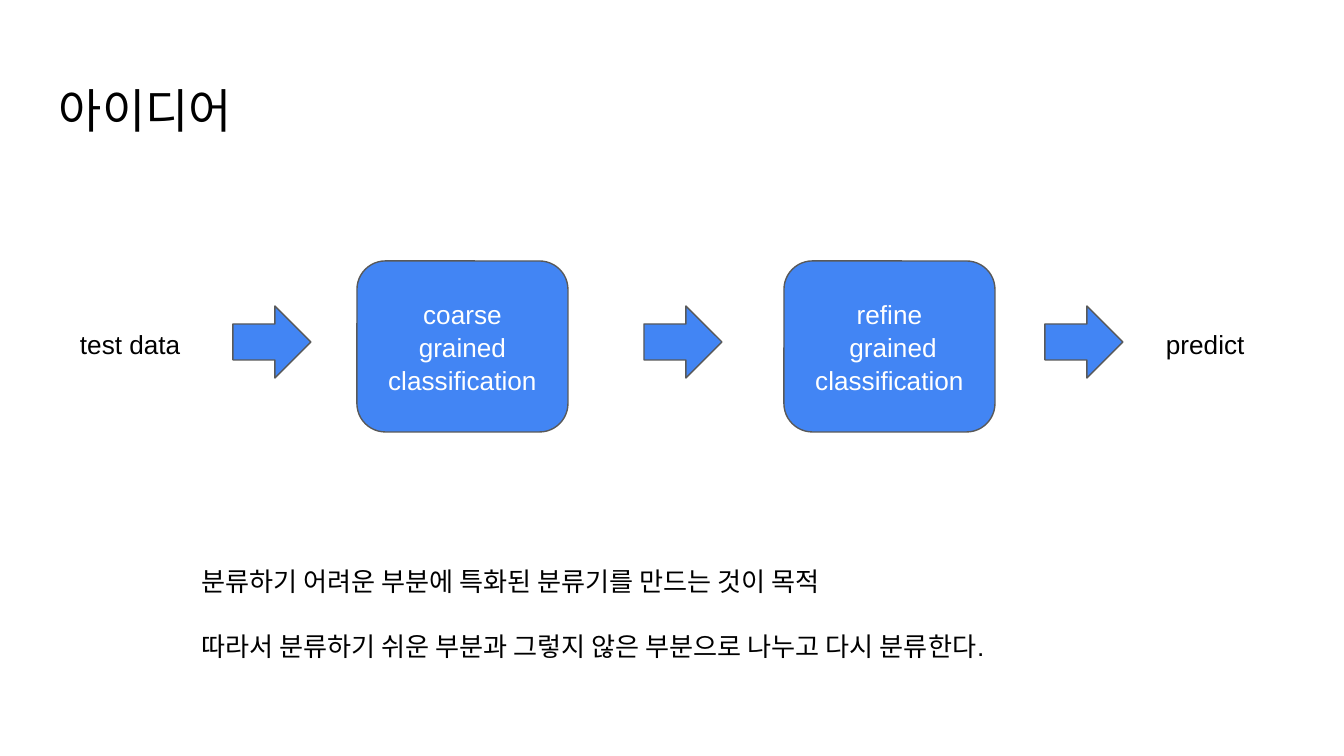
import pptx
import pptx.util
import pptx.dml.color
import pptx.enum.shapes
import pptx.enum.text
from dataclasses import dataclass

SHAPE = pptx.enum.shapes.MSO_SHAPE
ALIGN = pptx.enum.text.PP_ALIGN
ANCHOR = pptx.enum.text.MSO_ANCHOR
PX = 9144000 / 1344


@dataclass(frozen=True)
class Theme:
    font: str = "Arial"
    ink: str = "000000"
    on_fill: str = "FFFFFF"
    fill: str = "4285F4"
    outline: str = "595959"
    title_size: float = 25.2
    body_size: float = 14
    line_spacing: float = 1.05
    paragraph_gap: float = 17


theme = Theme()


def px(*lengths):
    return [round(length * PX) for length in lengths]


def write(frame, lines, size=theme.body_size, color=theme.ink,
          align=ALIGN.LEFT, anchor=ANCHOR.TOP, gap=0):
    """Fill a text frame with one paragraph per line; gap separates them in points."""
    frame.word_wrap = True
    frame.auto_size = pptx.enum.text.MSO_AUTO_SIZE.NONE
    frame.vertical_anchor = anchor
    frame.margin_left, frame.margin_top, frame.margin_right, frame.margin_bottom = px(13, 13, 13, 13)
    for index, line in enumerate(lines):
        paragraph = frame.paragraphs[0] if index == 0 else frame.add_paragraph()
        paragraph.alignment = align
        paragraph.line_spacing = theme.line_spacing
        paragraph.space_before = pptx.util.Pt(gap if index else 0)
        run = paragraph.add_run()
        run.text = line
        run.font.name = theme.font
        run.font.size = pptx.util.Pt(size)
        run.font.color.rgb = pptx.dml.color.RGBColor.from_string(color)


presentation = pptx.Presentation()
presentation.slide_width, presentation.slide_height = px(1344, 756)
slide = presentation.slides.add_slide(presentation.slide_layouts[5])

title = slide.shapes.title
title.left, title.top, title.width, title.height = px(46, 66, 1252, 85)
write(title.text_frame, ["아이디어"], size=theme.title_size)

# Pipeline: two classification stages linked by three arrows
stages = [
    (357, ["coarse grained classification"]),
    (784, ["refine", " grained classification"]),
]
pipeline = [(SHAPE.ROUNDED_RECTANGLE, (left, 261, 211, 171), lines) for left, lines in stages]
pipeline += [(SHAPE.RIGHT_ARROW, (left, 306, 78, 72), []) for left in (233, 644, 1045)]

for preset, box, lines in pipeline:
    step = slide.shapes.add_shape(preset, *px(*box))
    step.shadow.inherit = False
    step.fill.solid()
    step.fill.fore_color.rgb = pptx.dml.color.RGBColor.from_string(theme.fill)
    step.line.color.rgb = pptx.dml.color.RGBColor.from_string(theme.outline)
    step.line.width = pptx.util.Pt(0.75)
    write(step.text_frame, lines, color=theme.on_fill, align=ALIGN.CENTER, anchor=ANCHOR.MIDDLE)

# Pipeline ends and the purpose statement below
captions = [
    ((67, 314, 145, 59), ["test data"]),
    ((1153, 314, 145, 59), ["predict"]),
    ((188, 551, 831, 122), [
        "분류하기 어려운 부분에 특화된 분류기를 만드는 것이 목적",
        "따라서 분류하기 쉬운 부분과 그렇지 않은 부분으로 나누고 다시 분류한다.",
    ]),
]
for box, lines in captions:
    caption = slide.shapes.add_textbox(*px(*box))
    write(caption.text_frame, lines, gap=theme.paragraph_gap)

presentation.save("out.pptx")
